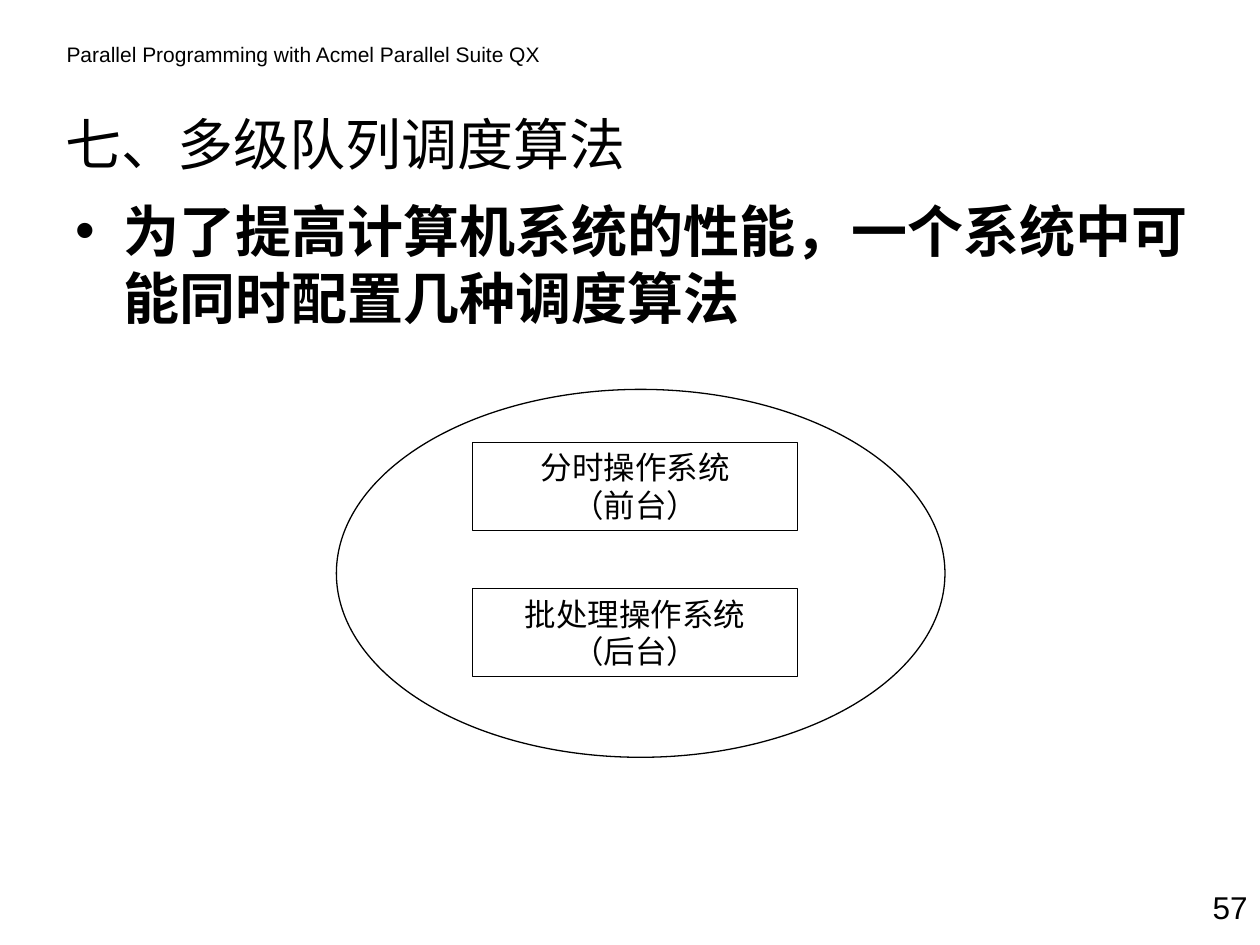
from dataclasses import dataclass

from lxml.etree import SubElement
from pptx import Presentation
from pptx.dml.color import RGBColor
from pptx.enum.shapes import MSO_SHAPE
from pptx.enum.text import MSO_ANCHOR, PP_ALIGN
from pptx.oxml.ns import qn
from pptx.util import Inches, Pt


@dataclass(frozen=True)
class Theme:
    ink: RGBColor = RGBColor(0, 0, 0)
    latin: str = "Arial"
    chinese: str = "Noto Sans CJK SC"
    heading: int = 32
    label: int = 18
    header: int = 12
    line: float = 0.75
    leading: float = 1.2


THEME = Theme()

HEADER = "Parallel Programming with Acmel Parallel Suite QX"
TITLE = "七、多级队列调度算法"
POINT = "为了提高计算机系统的性能，一个系统中可能同时配置几种调度算法"
SYSTEMS = [
    ("分时操作系统", "（前台）"),
    ("批处理操作系统", "（后台）"),
]
PAGE_NUMBER = "57"

ELLIPSE = (2.67, 3.09, 4.83, 2.92)
SYSTEM_LEFT, SYSTEM_TOP, SYSTEM_WIDTH, SYSTEM_HEIGHT = 3.75, 3.51, 2.58, 0.7
SYSTEM_PITCH = 1.16


def place(shape, left, top, width, height):
    shape.left, shape.top = Inches(left), Inches(top)
    shape.width, shape.height = Inches(width), Inches(height)


def write(shape, lines, size, font=THEME.latin, align=PP_ALIGN.LEFT,
          anchor=MSO_ANCHOR.TOP, bold=False, bullet_indent=None):
    frame = shape.text_frame
    frame.word_wrap = True
    frame.vertical_anchor = anchor
    frame.margin_left = frame.margin_right = Inches(0.1)
    frame.margin_top = frame.margin_bottom = Inches(0.05)
    for index, line in enumerate(lines):
        para = frame.add_paragraph() if index else frame.paragraphs[0]
        para.alignment = align
        para.space_before = Pt(0)
        para.line_spacing = Pt(size * THEME.leading)
        if bullet_indent:
            add_bullet(para, bullet_indent)
        span = para.add_run()
        span.text = line
        span.font.size = Pt(size)
        span.font.bold = bold
        span.font.color.rgb = THEME.ink
        span.font.name = font
        east_asian = SubElement(span.font._element, qn("a:ea"))
        east_asian.set("typeface", THEME.chinese)


def add_bullet(para, indent):
    properties = para._p.get_or_add_pPr()
    properties.set("marL", str(Inches(indent)))
    properties.set("indent", str(-Inches(indent)))
    SubElement(properties, qn("a:buFont")).set("typeface", THEME.latin)
    SubElement(properties, qn("a:buChar")).set("char", "•")


def add_outline(page, preset, *area):
    shape = page.shapes.add_shape(preset, *map(Inches, area))
    shape.shadow.inherit = False
    shape.fill.background()
    shape.line.color.rgb = THEME.ink
    shape.line.width = Pt(THEME.line)
    return shape


def add_text(page, area, text, size, **style):
    box = page.shapes.add_textbox(*map(Inches, area))
    write(box, [text], size, **style)


def main():
    deck = Presentation()
    deck.slide_width, deck.slide_height = Inches(10), Inches(7.5)
    page = deck.slides.add_slide(deck.slide_layouts[1])
    title, body = page.placeholders

    add_text(page, (0.43, 0.28, 4.1, 0.3), HEADER, THEME.header)
    place(title, 0.42, 0.76, 9, 0.75)
    write(title, [TITLE], THEME.heading, font=THEME.chinese,
          anchor=MSO_ANCHOR.MIDDLE)
    place(body, 0.5, 1.51, 9.29, 2.25)
    write(body, [POINT], THEME.heading, font=THEME.chinese, bold=True,
          bullet_indent=0.38)

    add_outline(page, MSO_SHAPE.OVAL, *ELLIPSE)
    for row, lines in enumerate(SYSTEMS):
        box = add_outline(page, MSO_SHAPE.RECTANGLE, SYSTEM_LEFT,
                          SYSTEM_TOP + row * SYSTEM_PITCH,
                          SYSTEM_WIDTH, SYSTEM_HEIGHT)
        write(box, lines, THEME.label, align=PP_ALIGN.CENTER)

    add_text(page, (9.33, 7, 0.67, 0.4), PAGE_NUMBER, THEME.label,
             align=PP_ALIGN.RIGHT)
    deck.save("out.pptx")


if __name__ == "__main__":
    main()
